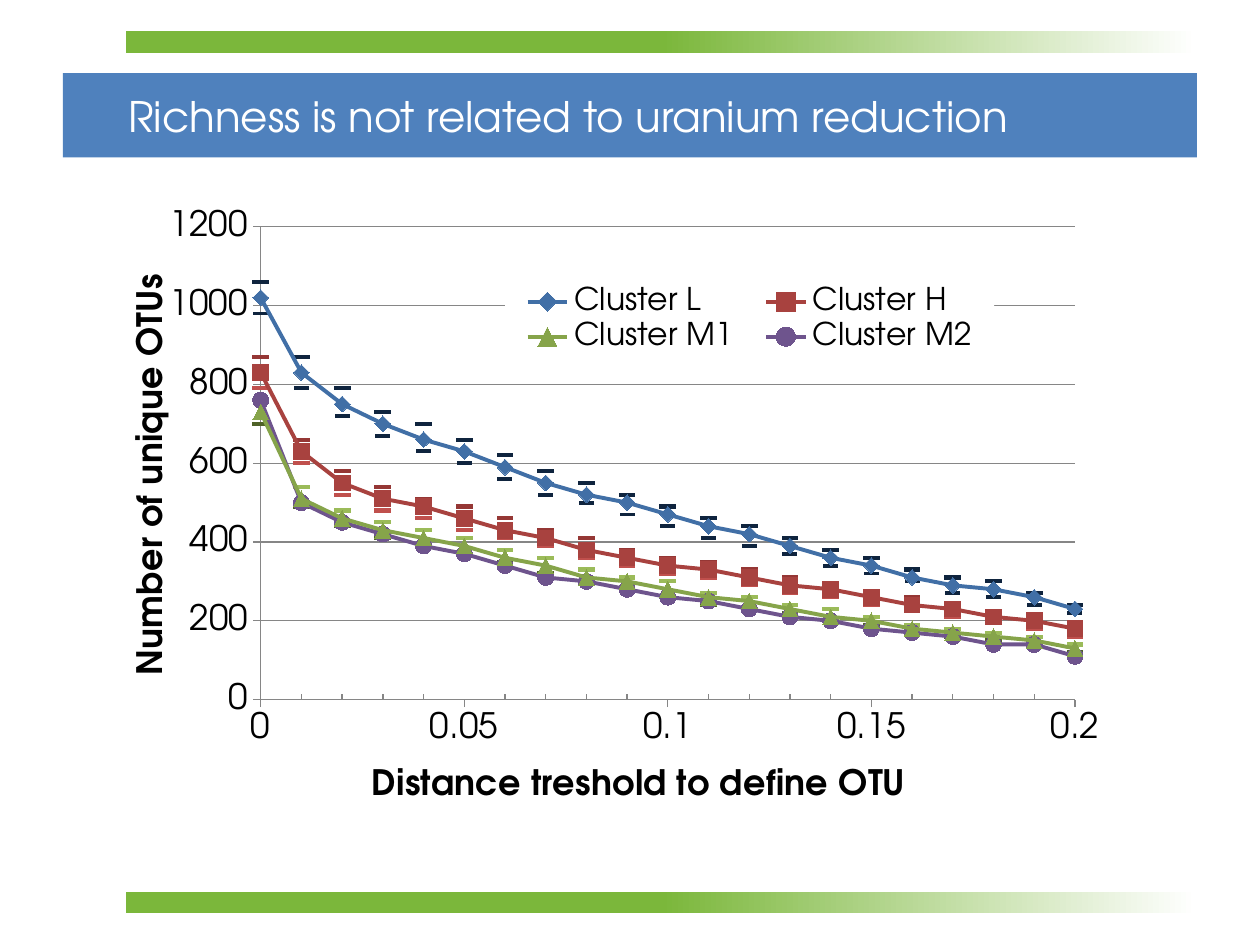
from lxml.etree import SubElement
from pptx import Presentation
from pptx.chart.data import XyChartData
from pptx.dml.color import RGBColor
from pptx.enum.chart import XL_CHART_TYPE, XL_LEGEND_POSITION, XL_MARKER_STYLE, XL_TICK_MARK
from pptx.enum.shapes import MSO_SHAPE
from pptx.enum.text import MSO_ANCHOR, PP_ALIGN
from pptx.oxml import parse_xml
from pptx.oxml.ns import nsdecls, qn
from pptx.util import Inches, Pt

FONT = "TeX Gyre Adventor"
WHITE = RGBColor(0xFF, 0xFF, 0xFF)
BLACK = RGBColor(0x00, 0x00, 0x00)
GREEN = RGBColor(0x7B, 0xB7, 0x3B)
BANNER_BLUE = RGBColor(0x4F, 0x81, 0xBD)
AXIS_GREY = RGBColor(0x86, 0x86, 0x86)
BLUE = RGBColor(0x41, 0x6F, 0xA6)
RED = RGBColor(0xA8, 0x42, 0x3F)
OLIVE = RGBColor(0x86, 0xA4, 0x4A)
PURPLE = RGBColor(0x6E, 0x54, 0x8D)
NAVY = RGBColor(0x0F, 0x24, 0x3E)
DARK_RED = RGBColor(0x95, 0x37, 0x35)
LIGHT_RED = RGBColor(0xC0, 0x50, 0x4D)
LIGHT_OLIVE = RGBColor(0x9B, 0xBB, 0x59)
DARK_OLIVE = RGBColor(0x4F, 0x62, 0x28)
DARK_PURPLE = RGBColor(0x40, 0x31, 0x52)

# Mean richness of each cluster: name, marker, colour, values
CLUSTERS = [
    ("Cluster L", XL_MARKER_STYLE.DIAMOND, BLUE,
     [1020, 830, 750, 700, 660, 630, 590, 550, 520, 500, 470,
      440, 420, 390, 360, 340, 310, 290, 280, 260, 230]),
    ("Cluster H", XL_MARKER_STYLE.SQUARE, RED,
     [830, 630, 550, 510, 490, 460, 430, 410, 380, 360, 340,
      330, 310, 290, 280, 260, 240, 230, 210, 200, 180]),
    ("Cluster M1", XL_MARKER_STYLE.TRIANGLE, OLIVE,
     [730, 510, 460, 430, 410, 390, 360, 340, 310, 300, 280,
      260, 250, 230, 210, 200, 180, 170, 160, 150, 130]),
    ("Cluster M2", XL_MARKER_STYLE.CIRCLE, PURPLE,
     [760, 500, 450, 420, 390, 370, 340, 310, 300, 280, 260,
      250, 230, 210, 200, 180, 170, 160, 140, 140, 110]),
]
# Upper bounds, then lower bounds, in cluster order: colour, marker size, values
BOUNDS = [
    (NAVY, 9, [1060, 870, 790, 730, 700, 660, 620, 580, 550, 520, 490,
               460, 440, 410, 380, 360, 330, 310, 300, 270, 240]),
    (DARK_RED, 9, [870, 660, 580, 540, 510, 490, 460, 430, 410, 380, 360,
                   350, 330, 310, 290, 270, 260, 240, 220, 210, 190]),
    (LIGHT_OLIVE, 9, [760, 540, 480, 450, 430, 410, 380, 360, 330, 310, 300,
                      270, 260, 240, 230, 210, 190, 180, 170, 160, 140]),
    (DARK_PURPLE, 7, [760, 500, 450, 420, 390, 370, 340, 320, 300, 280, 270,
                      250, 230, 210, 200, 180, 170, 160, 140, 140, 110]),
    (NAVY, 8, [980, 790, 720, 670, 630, 600, 560, 520, 500, 470, 440,
               410, 390, 370, 340, 320, 300, 270, 260, 240, 220]),
    (LIGHT_RED, 9, [790, 600, 520, 480, 460, 430, 410, 390, 360, 340, 320,
                    310, 290, 270, 260, 240, 230, 210, 200, 180, 160]),
    (DARK_OLIVE, 9, [700, 490, 440, 410, 390, 370, 350, 320, 300, 280, 260,
                     240, 230, 220, 200, 190, 170, 160, 150, 140, 120]),
    (DARK_PURPLE, 9, [760, 500, 450, 420, 390, 370, 340, 310, 300, 280, 260,
                      250, 230, 210, 200, 180, 170, 160, 140, 140, 110]),
]


def set_font(font, size, color, bold=False):
    font.name, font.size, font.bold = FONT, Pt(size), bold
    font.color.rgb = color


def add_bar(page, box):
    bar = page.shapes.add_shape(MSO_SHAPE.RECTANGLE, *map(Inches, box))
    bar.shadow.inherit = False
    bar.line.fill.background()
    return bar


def add_fading_bar(page, box):
    fill = add_bar(page, box).fill
    fill.gradient()
    fill.gradient_angle = 0
    for stop, position, color in zip(fill.gradient_stops, (0.5, 1), (GREEN, WHITE)):
        stop.position = position
        stop.color.rgb = color


def add_title(page, box, text):
    left, top, width, height = box
    banner = add_bar(page, box)
    banner.fill.solid()
    banner.fill.fore_color.rgb = BANNER_BLUE
    title = page.shapes.title
    title.element.getparent().append(title.element)  # in front of the banner
    indent = 0.42
    title.left, title.top = Inches(left + indent), Inches(top)
    title.width, title.height = Inches(width - indent), Inches(height)
    title.text_frame.vertical_anchor = MSO_ANCHOR.MIDDLE
    para = title.text_frame.paragraphs[0]
    para.alignment = PP_ALIGN.LEFT
    span = para.add_run()
    span.text = text
    set_font(span.font, 24, WHITE)


def place(part, index, inner=False, **shares):
    """Give a chart part a manual layout in shares of the chart."""
    for old in part.findall(qn("c:layout")):
        part.remove(old)
    layout = parse_xml(f"<c:layout {nsdecls('c')}><c:manualLayout/></c:layout>")
    if inner:
        SubElement(layout[0], qn("c:layoutTarget")).set("val", "inner")
    for key in ("x", "y"):
        SubElement(layout[0], qn(f"c:{key}Mode")).set("val", "edge")
    for key, share in shares.items():
        SubElement(layout[0], qn(f"c:{key}")).set("val", str(share))
    part.insert(index, layout)


def format_axis(axis, title, maximum, step, x, y):
    axis.minimum_scale, axis.maximum_scale, axis.major_unit = 0, maximum, step
    axis.major_tick_mark = XL_TICK_MARK.OUTSIDE
    axis.format.line.color.rgb = AXIS_GREY
    axis.tick_labels.number_format = "General"
    axis.tick_labels.number_format_is_linked = False
    set_font(axis.tick_labels.font, 20, BLACK)
    span = axis.axis_title.text_frame.paragraphs[0].add_run()
    span.text = title
    set_font(span.font, 20, BLACK, bold=True)
    place(axis.axis_title._element, 1, x=x, y=y)


def format_legend(chart):
    chart.has_legend = True
    legend = chart.legend
    legend.position = XL_LEGEND_POSITION.RIGHT
    legend.include_in_layout = True
    set_font(legend.font, 18, BLACK)
    element = legend._element
    # Only the clusters are listed
    for offset in range(len(BOUNDS)):
        entry = parse_xml(f'<c:legendEntry {nsdecls("c")}><c:idx val="{len(CLUSTERS) + offset}"/>'
                          '<c:delete val="1"/></c:legendEntry>')
        element.insert(1 + offset, entry)
    place(element, 1 + len(BOUNDS), x=0.38, y=0.11, w=0.49, h=0.12)
    element.find(qn("c:txPr")).addprevious(parse_xml(
        f'<c:spPr {nsdecls("c", "a")}><a:solidFill><a:srgbClr val="{WHITE}"/></a:solidFill></c:spPr>'))


def format_series(series, style, size, color, joined):
    series.smooth = False
    series.marker.style, series.marker.size = style, size
    series.marker.format.fill.solid()
    series.marker.format.fill.fore_color.rgb = color
    series.marker.format.line.color.rgb = color
    if joined:
        series.format.line.color.rgb = color
        series.format.line.width = Pt(2.25)
    else:
        series.format.line.fill.background()


def add_richness_chart(page, box):
    looks = [(name, style, 9, color, values, True) for name, style, color, values in CLUSTERS]
    looks += [(" ", XL_MARKER_STYLE.DASH, size, color, values, False)
              for color, size, values in BOUNDS]
    data = XyChartData()
    for name, _, _, _, values, _ in looks:
        points = data.add_series(name)
        for step, value in enumerate(values):
            points.add_data_point(step / 100, value)
    chart = page.shapes.add_chart(XL_CHART_TYPE.XY_SCATTER_LINES, *map(Inches, box), data).chart
    chart.has_title = False
    set_font(chart.font, 20, BLACK)
    chart.plots[0].vary_by_categories = False
    for series, (_, style, size, color, _, joined) in zip(chart.plots[0].series, looks):
        format_series(series, style, size, color, joined)
    # Axes, plot area and legend; the vertical title stays clear of the tick labels
    across, up = chart.category_axis, chart.value_axis
    format_axis(across, "Distance treshold to define OTU", 0.2, 0.05, x=0.24, y=0.87)
    across.has_major_gridlines = False
    across.minor_unit = 0.01
    across.minor_tick_mark = XL_TICK_MARK.INSIDE
    format_axis(up, "Number of unique OTUs", 1200, 200, x=0, y=0.09)
    up.has_major_gridlines = True
    up.major_gridlines.format.line.color.rgb = AXIS_GREY
    place(chart._chartSpace.chart.plotArea, 0, inner=True, x=0.135, y=0.023, w=0.816, h=0.753)
    format_legend(chart)


def main():
    deck = Presentation()
    deck.slide_width, deck.slide_height = Inches(10), Inches(7.5)
    page = deck.slides.add_slide(deck.slide_layouts[5])
    for top in (0.25, 7.08):
        add_fading_bar(page, (1, top, 8.5, 0.17))
    add_title(page, (0.5, 0.58, 9, 0.67), "Richness is not related to uranium reduction")
    add_richness_chart(page, (1, 1.67, 7.92, 5))
    deck.save("out.pptx")


if __name__ == "__main__":
    main()
